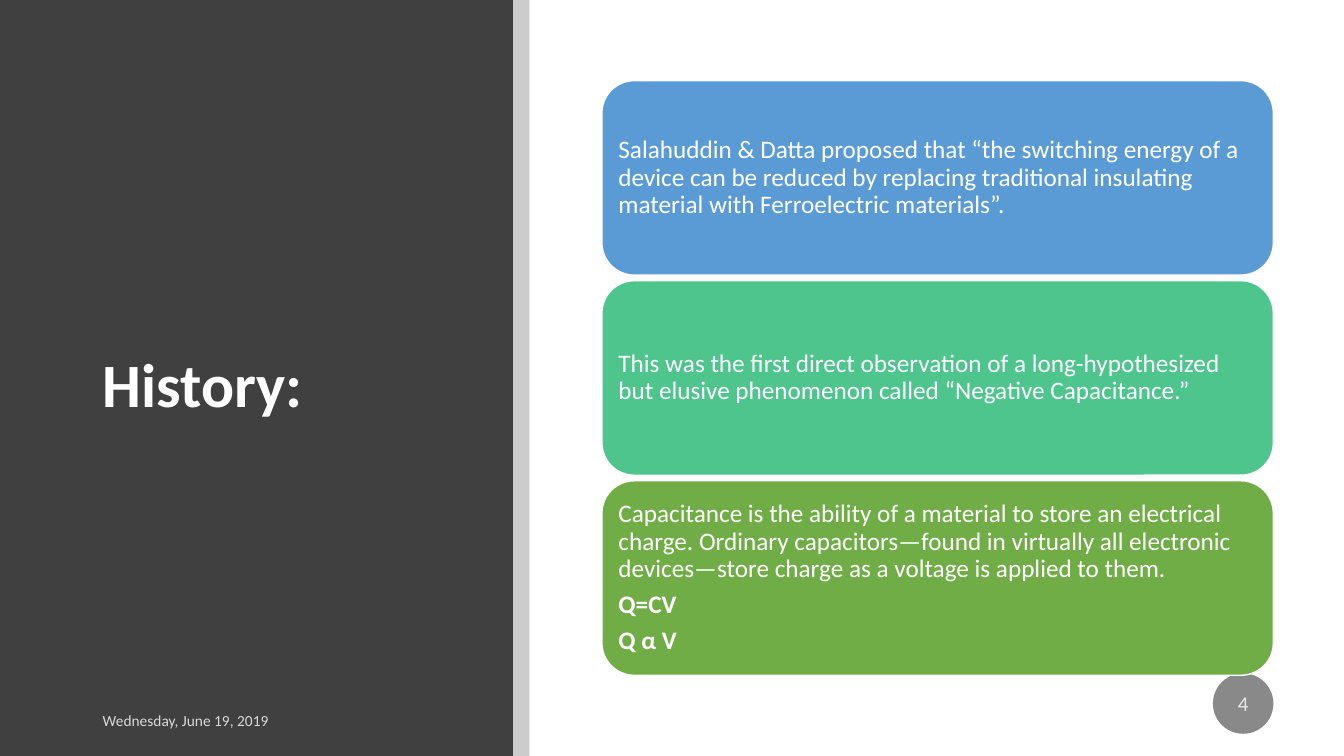
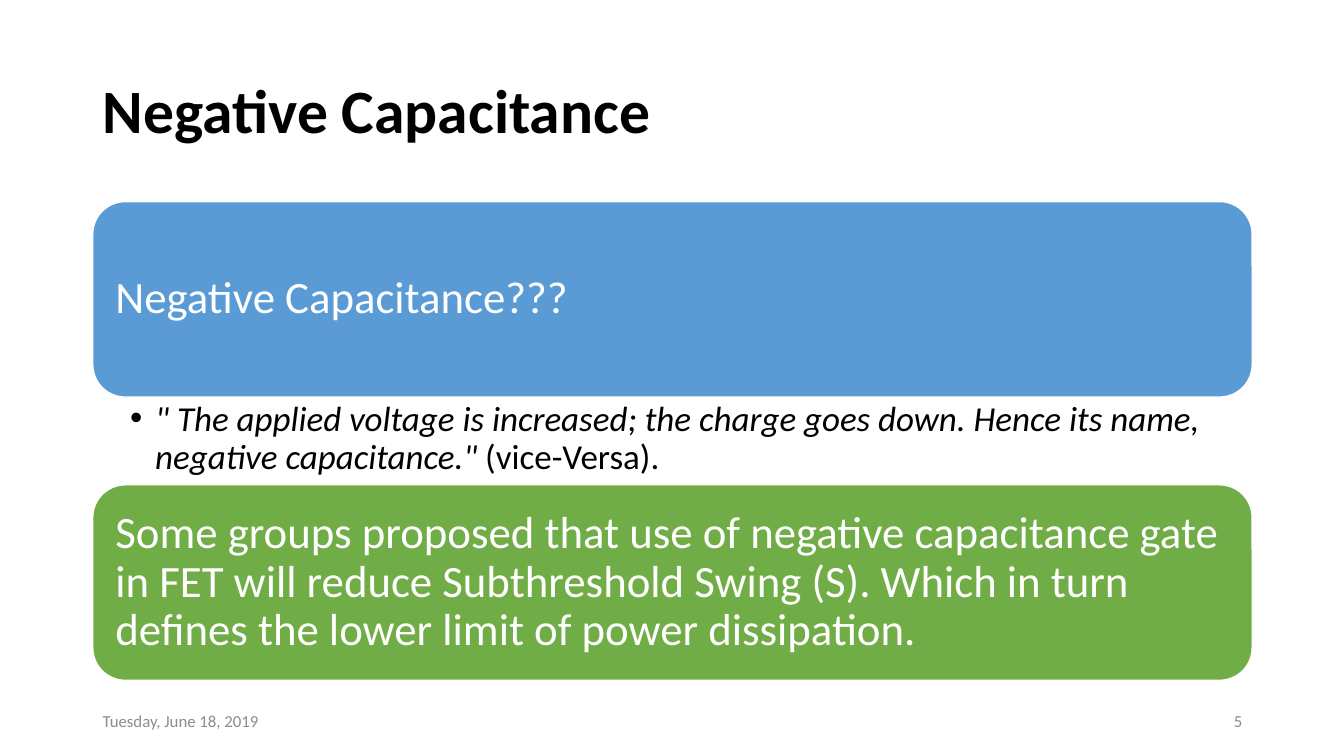
import pptx
import pptx.util
import pptx.dml.color
import pptx.enum.shapes
import pptx.enum.text
import pptx.oxml.ns
import lxml.etree

Inches = pptx.util.Inches
Pt = pptx.util.Pt
RGB = pptx.dml.color.RGBColor
PRESET = pptx.enum.shapes.MSO_SHAPE
ALIGN = pptx.enum.text.PP_ALIGN
ANCHOR = pptx.enum.text.MSO_ANCHOR

FONT = "Calibri"
WHITE = RGB(0xFF, 0xFF, 0xFF)
BLACK = RGB(0x00, 0x00, 0x00)
PANEL = RGB(0x40, 0x40, 0x40)
BAND = RGB(0xCC, 0xCC, 0xCC)
BADGE = RGB(0x89, 0x89, 0x89)
DATE_ON_PANEL = RGB(0xD9, 0xD9, 0xD9)
BADGE_TEXT = RGB(0xE7, 0xE7, 0xE7)
FOOTER = RGB(0x8C, 0x8C, 0x8C)
BLUE = RGB(0x5B, 0x9B, 0xD5)
TEAL = RGB(0x4D, 0xC5, 0x8D)
GREEN = RGB(0x70, 0xAD, 0x47)

LEFT = 0.92
FOOTER_TOP = 6.95
FOOTER_SIZE = (3, 0.4)
SLIDE_WIDTH, SLIDE_HEIGHT = 13.33, 7.5

HISTORY_CARDS = [
    (BLUE, [[("Salahuddin & Datta proposed that “the switching energy of a device can be reduced "
              "by replacing traditional insulating material with Ferroelectric materials”.", {})]]),
    (TEAL, [[("This was the first direct observation of a long-hypothesized but elusive "
              "phenomenon called “Negative Capacitance.”", {})]]),
    (GREEN, [[("Capacitance is the ability of a material to store an electrical charge. Ordinary "
               "capacitors—found in virtually all electronic devices—store charge as a voltage "
               "is applied to them.", {})],
             [("Q=CV", {"bold": True})],
             [("Q α V", {"bold": True})]]),
]
QUESTION = [[("Negative Capacitance???", {})]]
QUOTE = [[("\" The applied voltage is increased; the charge goes down. Hence its name, "
           "negative capacitance.\" ", {"italic": True}),
          ("(vice-Versa).", {})]]
PROPOSAL = [[("Some groups proposed that use of negative capacitance gate in FET will reduce "
              "Subthreshold Swing (S). Which in turn defines the lower limit of power "
              "dissipation.", {})]]


def write(shape, paragraphs, size, color, align=ALIGN.LEFT, anchor=ANCHOR.MIDDLE,
          line_spacing=1.0, space_after=6, margins=(0.1, 0.05, 0.1, 0.05)):
    frame = shape.text_frame
    frame.word_wrap = True
    frame.auto_size = pptx.enum.text.MSO_AUTO_SIZE.NONE
    frame.vertical_anchor = anchor
    (frame.margin_left, frame.margin_top,
     frame.margin_right, frame.margin_bottom) = map(Inches, margins)
    for index, spans in enumerate(paragraphs):
        para = frame.add_paragraph() if index else frame.paragraphs[0]
        para.alignment = align
        para.line_spacing = line_spacing
        para.space_after = Pt(space_after)
        for text, style in spans:
            span = para.add_run()
            span.text = text
            span.font.name = FONT
            span.font.size = Pt(size)
            span.font.color.rgb = color
            span.font.bold = style.get("bold", False)
            span.font.italic = style.get("italic", False)
    return frame


def add_filled(page, preset, bounds, fill):
    shape = page.shapes.add_shape(preset, *map(Inches, bounds))
    shape.shadow.inherit = False
    shape.fill.solid()
    shape.fill.fore_color.rgb = fill
    shape.line.fill.background()
    return shape


def add_card(page, bounds, fill, paragraphs, size, margin):
    card = add_filled(page, PRESET.ROUNDED_RECTANGLE, bounds, fill)
    card.line.color.rgb = WHITE
    card.line.width = Pt(1)
    write(card, paragraphs, size, WHITE, line_spacing=0.9, space_after=size * 0.35,
          margins=(margin,) * 4)


def add_text(page, bounds, paragraphs, size, color, **layout):
    box = page.shapes.add_textbox(*map(Inches, bounds))
    return write(box, paragraphs, size, color, **layout)


def add_footer(page, left, text, size, color, align=ALIGN.LEFT):
    add_text(page, (left, FOOTER_TOP, *FOOTER_SIZE), [[(text, {})]], size, color, align=align)


def add_page(deck, title, bounds, color):
    page = deck.slides.add_slide(deck.slide_layouts[5])
    heading = page.shapes.title
    heading.left, heading.top, heading.width, heading.height = map(Inches, bounds)
    write(heading, [[(title, {"bold": True})]], 44, color, line_spacing=0.9)
    return page


def add_bullet(para, indent):
    properties = para._p.get_or_add_pPr()
    properties.set("marL", str(Inches(indent)))
    properties.set("indent", str(-Inches(indent)))
    for tag, name, value in (("a:buFont", "typeface", "Arial"), ("a:buChar", "char", "•")):
        lxml.etree.SubElement(properties, pptx.oxml.ns.qn(tag)).set(name, value)


def build_history(deck):
    page = add_page(deck, "History:", (LEFT, 0.89, 3.65, 5.91), WHITE)
    panel_width, band_width = 5.09, 0.16
    panel = add_filled(page, PRESET.RECTANGLE, (0, 0, panel_width, SLIDE_HEIGHT), PANEL)
    page.shapes.title.element.addprevious(panel.element)
    add_filled(page, PRESET.RECTANGLE, (panel_width, 0, band_width, SLIDE_HEIGHT), BAND)
    add_footer(page, LEFT, "Wednesday, June 19, 2019", 11, DATE_ON_PANEL)
    badge = add_filled(page, PRESET.OVAL, (12.03, 6.68, 0.6, 0.6), BADGE)
    write(badge, [[("4", {})]], 15, BADGE_TEXT, align=ALIGN.CENTER, space_after=0,
          margins=(0, 0, 0, 0))
    top, height, gap = 0.8, 1.93, 0.055
    for index, (fill, paragraphs) in enumerate(HISTORY_CARDS):
        bounds = (5.97, top + index * (height + gap), 6.66, height)
        add_card(page, bounds, fill, paragraphs, 18, 0.07)


def build_negative_capacitance(deck):
    width = 11.5
    page = add_page(deck, "Negative Capacitance", (LEFT, 0.4, width, 1.45), BLACK)
    add_footer(page, LEFT, "Tuesday, June 18, 2019", 12, FOOTER)
    add_footer(page, LEFT + width - FOOTER_SIZE[0], "5", 12, FOOTER, ALIGN.RIGHT)
    top, card_height, quote_height = 2, 1.94, 0.87
    quote_top = top + card_height
    add_card(page, (LEFT, top, width, card_height), BLUE, QUESTION, 32, 0.13)
    quote = add_text(page, (LEFT, quote_top, width, quote_height), QUOTE, 25, BLACK,
                     anchor=ANCHOR.TOP, line_spacing=0.9, space_after=5,
                     margins=(0.37, 0.04, 0.25, 0.04))
    add_bullet(quote.paragraphs[0], 0.25)
    add_card(page, (LEFT, quote_top + quote_height, width, card_height), GREEN, PROPOSAL,
             32, 0.13)


def main():
    deck = pptx.Presentation()
    deck.slide_width = Inches(SLIDE_WIDTH)
    deck.slide_height = Inches(SLIDE_HEIGHT)
    build_history(deck)
    build_negative_capacitance(deck)
    deck.save("out.pptx")


if __name__ == "__main__":
    main()
